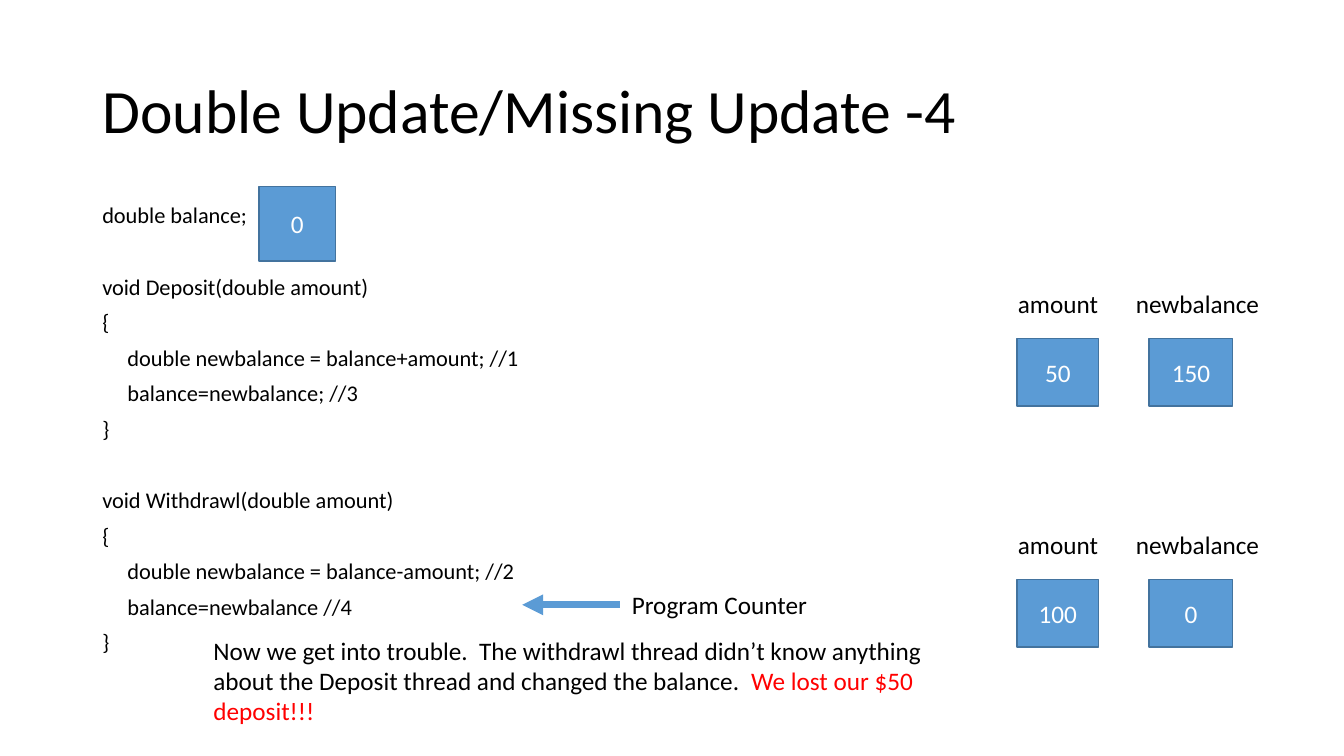
from dataclasses import dataclass

from lxml.etree import SubElement
from pptx import Presentation
from pptx.dml.color import RGBColor
from pptx.enum.shapes import MSO_CONNECTOR, MSO_SHAPE
from pptx.enum.text import MSO_ANCHOR, MSO_AUTO_SIZE, PP_ALIGN
from pptx.oxml.ns import qn
from pptx.util import Pt


@dataclass(frozen=True)
class Theme:
    """Hold the colours, font and type sizes of the slide."""
    font: str = "Calibri"
    ink: str = "000000"
    inverse: str = "FFFFFF"
    alert: str = "FF0000"
    accent: str = "5B9BD5"
    outline: str = "43739E"
    title_size: int = 44
    label_size: int = 18
    code_size: int = 16


THEME = Theme()

LINE_GAP = 10
BLANK_LINE_GAP = 35.6
CODE_INDENT = 18
CODE_BLOCKS = [
    ["double balance;"],
    ["void Deposit(double amount)", "{",
     "\tdouble newbalance = balance+amount; //1",
     "\tbalance=newbalance; //3", "}"],
    ["void Withdrawl(double amount)", "{",
     "\tdouble newbalance = balance-amount; //2",
     "\tbalance=newbalance //4", "}"],
]

VARIABLES = [
    ("amount", 720, 84.24, 726.5, 58.3),
    ("newbalance", 804.24, 121.7, 820.8, 59.8),
]
THREADS = [(202.3, ("50", "150")), (374.4, ("100", "0"))]


def write(paragraph, text, size=THEME.label_size, color=THEME.ink,
          align=PP_ALIGN.LEFT, spacing=None, before=None):
    """Append a formatted run to a paragraph."""
    run = paragraph.add_run()
    run.text = text
    run.font.name = THEME.font
    run.font.size = Pt(size)
    run.font.color.rgb = RGBColor.from_string(color)
    paragraph.alignment = align
    if spacing is not None:
        paragraph.line_spacing = spacing
    if before is not None:
        paragraph.space_before = Pt(before)


def add_text_frame(slide, left, top, width, height):
    """Add a wrapping text box and return its text frame."""
    frame = slide.shapes.add_textbox(
        Pt(left), Pt(top), Pt(width), Pt(height)).text_frame
    frame.word_wrap = True
    return frame


def add_label(slide, text, left, top, width, height=28.8):
    """Add a one-line label."""
    frame = add_text_frame(slide, left, top, width, height)
    write(frame.paragraphs[0], text)


def add_value_box(slide, value, left, top, width, height):
    """Add a filled box that shows the value of a variable."""
    memory = slide.shapes.add_shape(
        MSO_SHAPE.RECTANGLE, Pt(left), Pt(top), Pt(width), Pt(height))
    memory.shadow.inherit = False
    memory.fill.solid()
    memory.fill.fore_color.rgb = RGBColor.from_string(THEME.accent)
    memory.line.color.rgb = RGBColor.from_string(THEME.outline)
    memory.line.width = Pt(1)
    memory.text_frame.vertical_anchor = MSO_ANCHOR.MIDDLE
    write(memory.text_frame.paragraphs[0], value,
          color=THEME.inverse, align=PP_ALIGN.CENTER)


def add_title(slide, text):
    """Place and fill the title placeholder."""
    title = slide.shapes.title
    title.left, title.top = Pt(66), Pt(28.8)
    title.width, title.height = Pt(828), Pt(104.4)
    title.text_frame.vertical_anchor = MSO_ANCHOR.MIDDLE
    title.text_frame.auto_size = MSO_AUTO_SIZE.NONE
    write(title.text_frame.paragraphs[0], text,
          size=THEME.title_size, spacing=0.9)


def add_code(slide):
    """Add the code listing with a wide gap between its blocks."""
    frame = add_text_frame(slide, 66, 144, 828, 342.7)
    paragraph = frame.paragraphs[0]
    for block_index, block in enumerate(CODE_BLOCKS):
        for line_index, code_line in enumerate(block):
            if block_index or line_index:
                paragraph = frame.add_paragraph()
            starts_block = block_index > 0 and line_index == 0
            write(paragraph, code_line.lstrip("\t"), size=THEME.code_size,
                  spacing=0.8,
                  before=BLANK_LINE_GAP if starts_block else LINE_GAP)
            if code_line.startswith("\t"):
                properties = paragraph._p.get_or_add_pPr()
                properties.set("marL", str(Pt(CODE_INDENT)))
                properties.set("indent", "0")


def add_thread_variables(slide):
    """Add the labelled local variables of each thread."""
    for top, values in THREADS:
        for variable, value in zip(VARIABLES, values):
            name, label_left, label_width, box_left, box_width = variable
            add_label(slide, name, label_left, top, label_width)
            add_value_box(slide, value, box_left, top + 39.6, box_width, 48.2)


def add_program_counter(slide):
    """Add the arrow and label that mark the current statement."""
    pointer = slide.shapes.add_connector(
        MSO_CONNECTOR.STRAIGHT, Pt(442.8), Pt(432), Pt(373), Pt(432))
    pointer.line.color.rgb = RGBColor.from_string(THEME.accent)
    pointer.line.width = Pt(5)
    properties = pointer.element.spPr
    SubElement(properties.find(qn("a:ln")), qn("a:tailEnd"), type="triangle")
    SubElement(properties, qn("a:effectLst"))
    add_label(slide, "Program Counter", 444.24, 417.6, 140.4)


def add_conclusion(slide):
    """Add the closing remark with its highlighted ending."""
    remark = add_text_frame(slide, 145.4, 450, 563.8, 72.7).paragraphs[0]
    write(remark, "Now we get into trouble.  The withdrawl thread didn’t know "
                  "anything about the Deposit thread and changed the balance.  ")
    write(remark, "We lost our $50 deposit!!!", color=THEME.alert)


def main():
    """Build and save the slide."""
    presentation = Presentation()
    presentation.slide_width, presentation.slide_height = Pt(960), Pt(540)
    slide = presentation.slides.add_slide(presentation.slide_layouts[5])
    add_title(slide, "Double Update/Missing Update -4")
    add_code(slide)
    add_value_box(slide, "0", 185.04, 133.2, 54.72, 53.28)
    add_thread_variables(slide)
    add_program_counter(slide)
    add_conclusion(slide)
    presentation.save("out.pptx")


if __name__ == "__main__":
    main()
